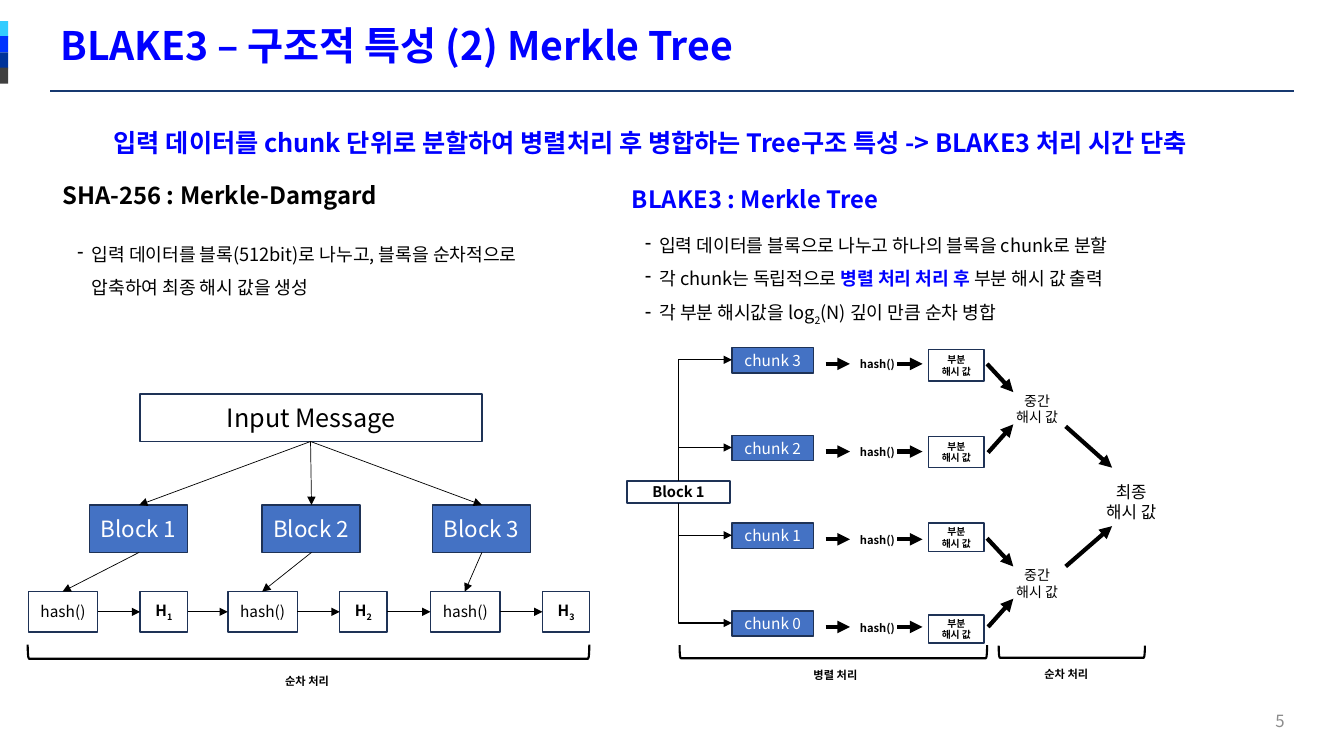
from copy import deepcopy

from lxml import etree
from pptx import Presentation
from pptx.dml.color import RGBColor
from pptx.enum.shapes import MSO_CONNECTOR, MSO_SHAPE
from pptx.enum.text import MSO_ANCHOR, MSO_AUTO_SIZE, PP_ALIGN
from pptx.oxml.ns import qn
from pptx.util import Pt

PX = 9144
FONT = "Noto Sans CJK KR"
RECT, BRACE = MSO_SHAPE.RECTANGLE, MSO_SHAPE.LEFT_BRACKET
LINE, ELBOW = MSO_CONNECTOR.STRAIGHT, MSO_CONNECTOR.ELBOW
LEFT, MID, RIGHT = PP_ALIGN.LEFT, PP_ALIGN.CENTER, PP_ALIGN.RIGHT
TOP, HALF = MSO_ANCHOR.TOP, MSO_ANCHOR.MIDDLE
GROW, FIXED = MSO_AUTO_SIZE.SHAPE_TO_FIT_TEXT, MSO_AUTO_SIZE.NONE
HUES = {
    "blue": "0000FF", "black": "000000", "white": "FFFFFF", "gray": "8C8C8C",
    "fill": "4472C4", "edge": "1E3256", "rule": "173970",
}
TABS = ["33CCFF", "0033FF", "003399", "404040"]

deck = Presentation()
deck.slide_width, deck.slide_height = 1333 * PX, 750 * PX
slide = deck.slides.add_slide(deck.slide_layouts[5])
shapes = slide.shapes


def write(text, at, size, hue="black", bold=False, align=LEFT, anchor=TOP,
          space=1, dash=0, fit=GROW, edge=None, fill=None, host=None):
    x, y, w, h = [n * PX for n in at]
    if edge:
        host = shapes.add_shape(RECT, x, y, w, h)
        host.shadow.inherit = False
        host.line.color.rgb = RGBColor.from_string(HUES[edge])
        host.line.width = Pt(1)
        host.fill.background()
        if fill:
            host.fill.solid()
            host.fill.fore_color.rgb = RGBColor.from_string(HUES[fill])
        align, anchor, fit = MID, HALF, FIXED
    elif host is None:
        host = shapes.add_textbox(x, y, w, h)
    host.left, host.top, host.width, host.height = x, y, w, h
    frame = host.text_frame
    frame.word_wrap = True
    frame.auto_size = fit
    frame.vertical_anchor = anchor
    if edge:
        frame.margin_left = frame.margin_right = 0
    for i, part in enumerate([text] if isinstance(text, str) else text):
        para = frame.paragraphs[0] if i == 0 else frame.add_paragraph()
        para.alignment = align
        para.line_spacing = space
        if dash:
            prop = para._p.get_or_add_pPr()
            prop.set("marL", str(dash * PX))
            prop.set("indent", str(-dash * PX))
            etree.SubElement(prop, qn("a:buChar")).set("char", "-")
        for words, style in [(part, "")] if isinstance(part, str) else part:
            for j, line in enumerate(words.split("\n")):
                if j:
                    para.add_line_break()
                run = para.add_run()
                run.text = line
                font = run.font
                font.name, font.size = FONT, Pt(size)
                font.bold = bold or style == "blue"
                font.color.rgb = RGBColor.from_string(HUES["blue" if style == "blue" else hue])
                prop = run._r.get_or_add_rPr()
                etree.SubElement(prop, qn("a:ea")).set("typeface", FONT)
                if style == "sub":
                    prop.set("baseline", "-25000")
                if j:
                    run._r.getprevious().insert(0, deepcopy(prop))


def link(x, y, to_x, to_y, wide, hue="black", head=True, bend=False):
    ends = [x, y, to_x, to_y]
    if bend:
        mid_x, mid_y = (x + to_x) / 2, (y + to_y) / 2
        rise, run = abs(to_y - y) / 2, (to_x - x) / 2
        ends = [mid_x - rise, mid_y - run, mid_x + rise, mid_y + run]
    wire = shapes.add_connector(ELBOW if bend else LINE, *[round(n * PX) for n in ends])
    wire.line.width = Pt(wide)
    wire.line.color.rgb = RGBColor.from_string(HUES[hue])
    prop = wire._element.spPr
    if bend:
        prop.find(qn("a:prstGeom")).set("prst", "bentConnector2")
        form = prop.find(qn("a:xfrm"))
        form.set("rot", "5400000" if to_y < y else "16200000")
        form.set("flipH", "1")
        form.set("flipV", "1" if to_y < y else "0")
    if head:
        etree.SubElement(prop.find(qn("a:ln")), qn("a:tailEnd")).set("type", "triangle")
    etree.SubElement(prop, qn("a:effectLst"))


link(50, 90, 1283, 90, 1.5, hue="rule", head=False)
for i, hue in enumerate(TABS):
    tab = shapes.add_shape(RECT, 0, (21 + 155 * i // 10) * PX, 8 * PX, 16 * PX)
    tab.shadow.inherit = False
    tab.fill.solid()
    tab.fill.fore_color.rgb = RGBColor.from_string(hue)
    tab.line.fill.background()

write("BLAKE3 – 구조적 특성 (2) Merkle Tree", (50, 15, 1234, 59), 28, hue="blue",
      bold=True, anchor=HALF, fit=FIXED, host=shapes.title)
write("5", (1173, 695, 111, 40), 12, hue="gray", align=RIGHT, anchor=HALF, fit=FIXED)
write("입력 데이터를 chunk 단위로 분할하여 병렬처리 후 병합하는 Tree구조 특성 -> BLAKE3 처리 시간 단축",
      (103, 106, 1219, 55), 18, hue="blue", bold=True, space=1.5, fit=FIXED)

write("SHA-256 : Merkle-Damgard", (52, 174, 594, 39), 17, bold=True)
write("입력 데이터를 블록(512bit)로 나누고, 블록을 순차적으로\n압축하여 최종 해시 값을 생성",
      (67, 226, 611, 104), 13, space=1.5, dash=14)
write("BLAKE3 : Merkle Tree", (617, 178, 594, 39), 17, hue="blue", bold=True)
write([
    "입력 데이터를 블록으로 나누고 하나의 블록을 chunk로 분할",
    [("각 chunk는 독립적으로 ", ""), ("병렬 처리 처리 후 ", "blue"), ("부분 해시 값 출력", "")],
    [("각 부분 해시값을 log", ""), ("2", "sub"), ("(N) 깊이 만큼 순차 병합", "")],
], (630, 217, 611, 104), 13, space=1.5, dash=14)

write("Input Message", (139, 391, 339, 47), 18, edge="edge")
for num, (block, hash_x) in enumerate([(89, 28), (260, 226), (429, 427)], 1):
    mid = block + 49
    write(f"Block {num}", (block, 501, 97, 47), 16, hue="white", edge="edge", fill="fill")
    write("hash()", (hash_x, 587, 69, 40), 11, edge="edge")
    write([[("H", ""), (str(num), "sub")]], (hash_x + 111, 587, 47, 40), 11,
          bold=True, edge="edge")
    link(308, 438, mid, 501, 0.5)
    link(mid, 548, hash_x + 34, 587, 0.5)
    link(hash_x + 69, 607, hash_x + 111, 607, 0.5)
    if num > 1:
        link(last, 607, hash_x, 607, 0.5)
    last = hash_x + 158

write("Block 1", (622, 477, 102, 22), 10.5, bold=True, edge="edge")
for num, (top, tall) in enumerate([(610, 28), (519, 28), (433, 31), (347, 31)]):
    up = 87 * num
    write(f"chunk {num}", (726, 606 - up, 81, 25), 11, hue="white", edge="edge", fill="fill")
    link(819, 622 - up, 843, 622 - up, 3)
    write("hash()", (843, 611 - up, 69, 18), 8, bold=True)
    link(890, 622 - up, 915, 622 - up, 3)
    write("부분\n해시 값", (921, top, 55, tall), 7, bold=True, edge="edge")
    link(673, 499 if num < 2 else 477, 726, 618 - up, 1, bend=True)

for up in (0, 173):
    link(980, 622 - up, 1005, 594 - up, 3)
    link(979, 534 - up, 1005, 562 - up, 3)
    write("중간\n해시 값", (994, 557 - up, 69, 44), 10, align=MID)
link(1057, 423, 1103, 464, 3)
link(1057, 562, 1103, 522, 3)
write("최종\n해시 값", (1083, 473, 78, 50), 12, align=MID)

for words, at, spot in [
    ("순차 처리", (299, 368, 14, 557), (273, 664, 77, 24)),
    ("병렬 처리", (820, 494, 13, 305), (797, 658, 186, 24)),
    ("순차 처리", (1057, 574, 12, 145), (1026, 657, 186, 24)),
]:
    brace = shapes.add_shape(BRACE, *[n * PX for n in at])
    brace.rotation = 270
    brace.shadow.inherit = False
    brace.fill.background()
    brace.line.width = Pt(1.5)
    brace.line.color.rgb = RGBColor.from_string(HUES["black"])
    write(words, spot, 8, bold=True)

deck.save("out.pptx")
